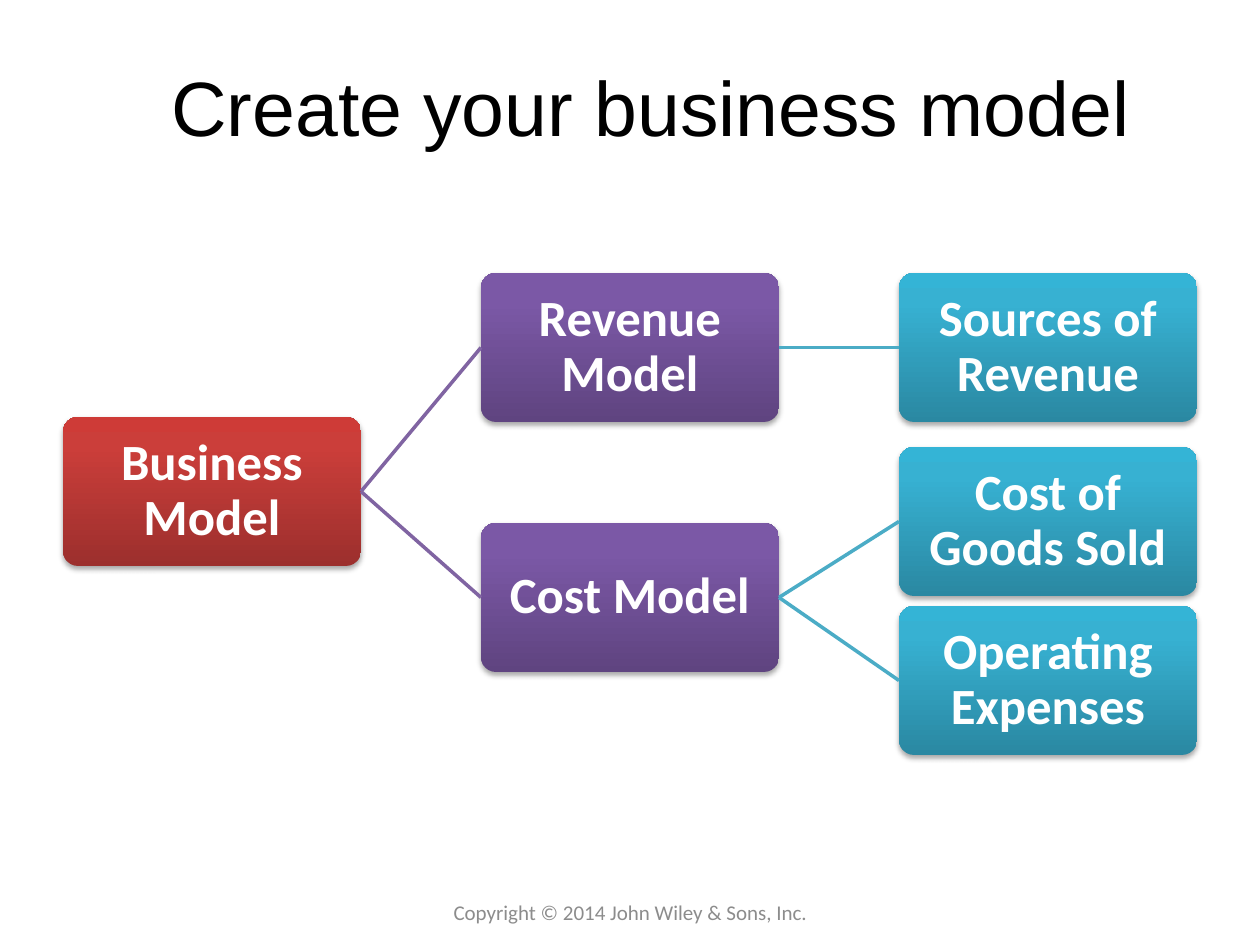
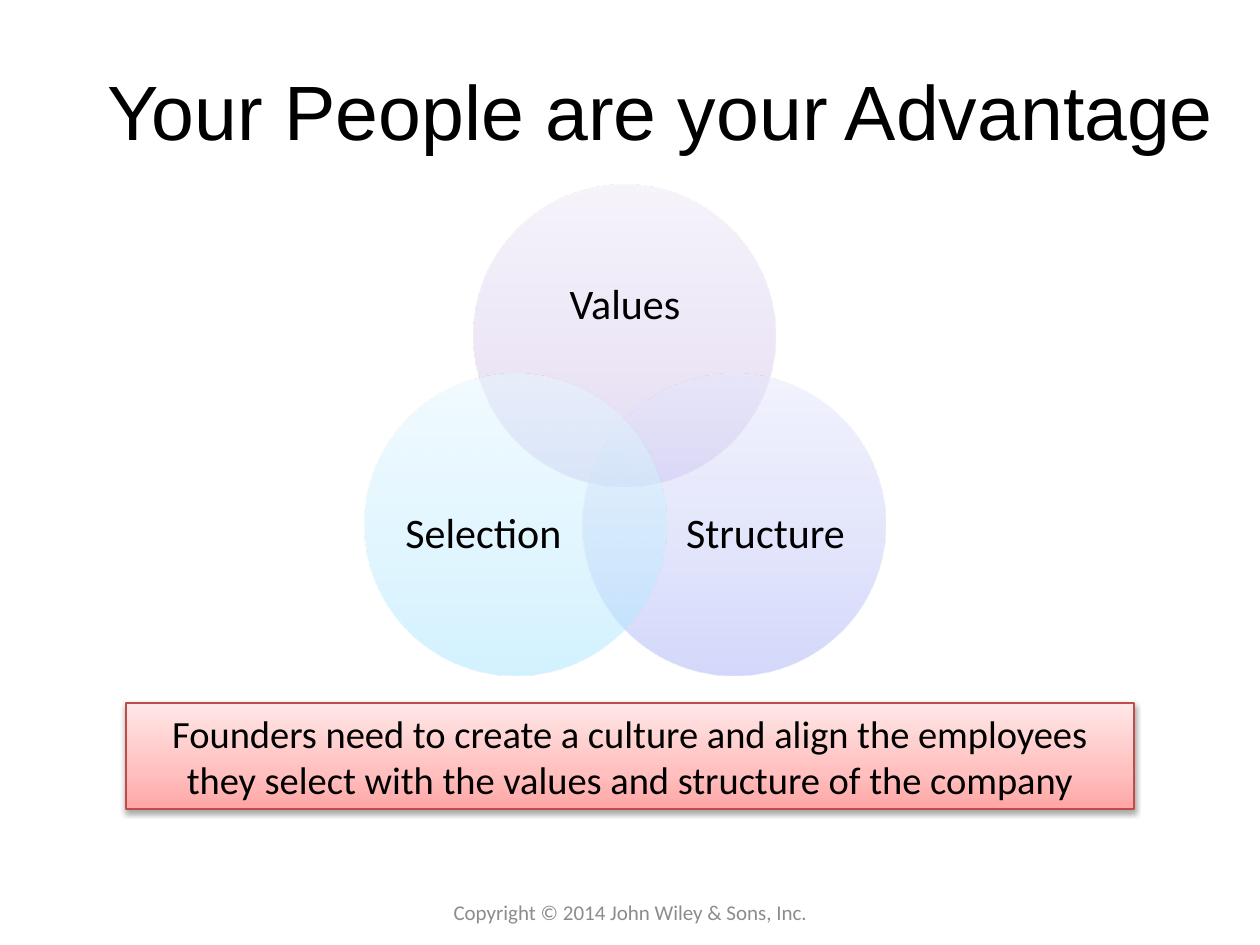
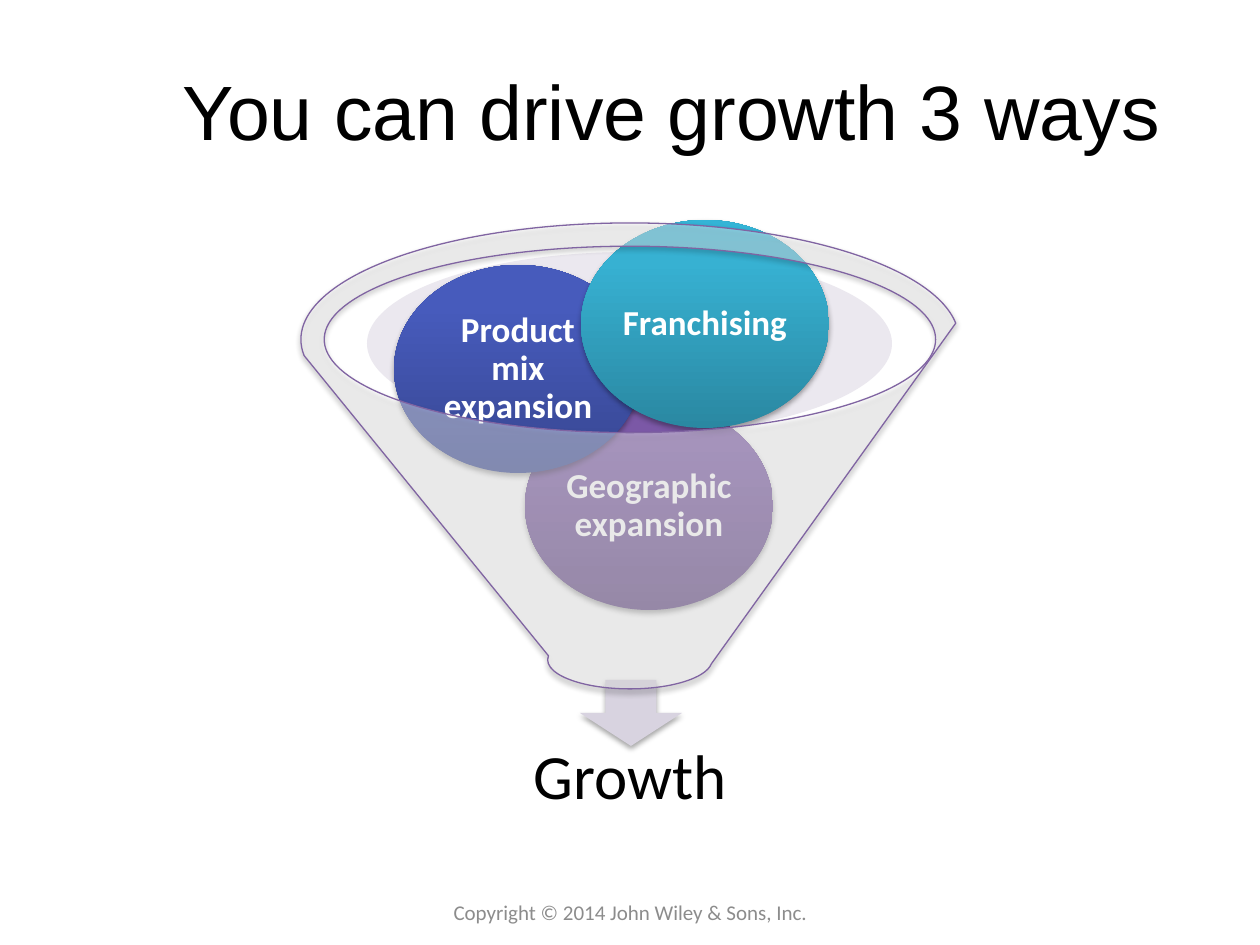
import math

import pptx
import pptx.dml.color
import pptx.enum.shapes
import pptx.enum.text
import pptx.oxml
import pptx.oxml.ns
import pptx.util
from lxml import etree

SHAPE = pptx.enum.shapes.MSO_SHAPE
MIDDLE = pptx.enum.text.MSO_ANCHOR.MIDDLE
CENTER = pptx.enum.text.PP_ALIGN.CENTER
EMU_PER_PX = 914400 / 126

COLORS = {
    "black": "000000", "white": "FFFFFF", "footer": "8C8C8C",
    "purple line": "8064A2", "teal line": "4BACC6", "red line": "BF4C48",
    "mouth": "CDC6D7", "arrow": "D8D3E0",
}
# Stops run from the bottom of a shape to its top.
STRONG_STOPS, PALE_STOPS = (0, 80, 100), (0, 35, 100)
GRADIENTS = {
    "red": (STRONG_STOPS, ("9C2F2D", "CB3E3A", "CE3B37")),
    "purple": (STRONG_STOPS, ("5F4480", "7B58A6", "7C57A8")),
    "teal": (STRONG_STOPS, ("2A88A2", "37B1D2", "34B4D6")),
    "blue": (STRONG_STOPS, ("374691", "475BBC", "455ABF")),
    "pale purple": (PALE_STOPS, ("C9B5E8", "D8CBEE", "F0EAF9")),
    "pale blue": (PALE_STOPS, ("A9B2F8", "C3C9F9", "E7E9FE")),
    "pale teal": (PALE_STOPS, ("A7E6FF", "C1EDFF", "E7F8FF")),
    "pale red": (PALE_STOPS, ("FFA6A5", "FFC0BF", "FFE7E7")),
}

FOOTER = "Copyright © 2014 John Wiley & Sons, Inc."
FOOTER_BOX = (431, 879, 399, 66)

# Slide 1: text, column, top
TREE_BOXES = [
    ("Business Model", 0, 417),
    ("Revenue Model", 1, 273),
    ("Cost Model", 1, 523),
    ("Sources of Revenue", 2, 273),
    ("Cost of Goods Sold", 2, 447),
    ("Operating Expenses", 2, 606),
]
TREE_LINKS = [(0, 1), (0, 2), (1, 3), (2, 4), (2, 5)]
TREE_FILLS = ("red", "purple", "teal")
LINK_COLORS = (None, "purple line", "teal line")
TREE_LEFT, TREE_STEP, TREE_W, TREE_H = 63, 418, 298, 149

# Slide 2: text, angle of the circle around the middle, fill, text box
VENN = [
    ("Values", -90, "pale purple", (514, 238, 222, 136)),
    ("Structure", 30, "pale blue", (675, 452, 181, 166)),
    ("Selection", 150, "pale teal", (393, 452, 181, 166)),
]
VENN_X, VENN_Y, VENN_OFFSET, VENN_D = 625, 462, 126, 302
NOTE = ("Founders need to create a culture and align the employees "
        "they select with the values and structure of the company")

# Slide 3: text, left, top, fill
BALLS = [
    ("Geographic expansion", 525, 402, "purple"),
    ("Product mix expansion", 394, 265, "blue"),
    ("Franchising", 581, 220, "teal"),
]
BALL_W, BALL_H = 248, 208


def px(n):
    return pptx.util.Emu(round(n * EMU_PER_PX))


def rgb(name):
    return pptx.dml.color.RGBColor.from_string(COLORS[name])


def set_fill(sp, name, alpha=None):
    if name in GRADIENTS:
        sp.fill.gradient()
        sp.fill.gradient_angle = 90
        stops = sp._element.spPr.find(".//" + pptx.oxml.ns.qn("a:gsLst"))
        for stop in list(stops):
            stops.remove(stop)
        for pos, color in zip(*GRADIENTS[name]):
            gs = etree.SubElement(stops, pptx.oxml.ns.qn("a:gs"), pos=str(pos * 1000))
            etree.SubElement(gs, pptx.oxml.ns.qn("a:srgbClr"), val=color)
    else:
        sp.fill.solid()
        sp.fill.fore_color.rgb = rgb(name)
    if alpha:
        for color in sp._element.spPr.iter(pptx.oxml.ns.qn("a:srgbClr")):
            etree.SubElement(color, pptx.oxml.ns.qn("a:alpha"), val=str(alpha * 1000))


def add_shadow(sp):
    effects = sp._element.spPr.find(pptx.oxml.ns.qn("a:effectLst"))
    effects.append(pptx.oxml.parse_xml(
        f'<a:outerShdw {pptx.oxml.ns.nsdecls("a")} blurRad="40000" dist="23000" '
        f'dir="5400000" rotWithShape="0"><a:srgbClr val="{COLORS["black"]}">'
        '<a:alpha val="35000"/></a:srgbClr></a:outerShdw>'))


def add_shape(slide, kind, box, fill, alpha=None, line=None, shadow=True):
    sp = slide.shapes.add_shape(kind, *map(px, box))
    set_fill(sp, fill, alpha)
    if line:
        sp.line.color.rgb = rgb(line)
        sp.line.width = pptx.util.Pt(0.75)
    else:
        sp.line.fill.background()
    sp.shadow.inherit = False
    if shadow:
        add_shadow(sp)
    return sp


def set_text(sp, text, size, color="black", font="Calibri", bold=False,
             inset=None, spacing=None):
    tf = sp.text_frame
    tf.word_wrap = True
    tf.auto_size = pptx.enum.text.MSO_AUTO_SIZE.NONE
    tf.vertical_anchor = MIDDLE
    if inset is not None:
        tf.margin_left = tf.margin_top = tf.margin_right = tf.margin_bottom = px(inset)
    p = tf.paragraphs[0]
    p.text = text
    p.alignment = CENTER
    if spacing:
        p.line_spacing = spacing
    p.font.size = pptx.util.Pt(size)
    p.font.name = font
    p.font.bold = bold
    p.font.color.rgb = rgb(color)


def add_text(slide, box, text, size, **style):
    set_text(slide.shapes.add_textbox(*map(px, box)), text, size, **style)


def add_slide(prs, title, box):
    slide = prs.slides.add_slide(prs.slide_layouts[5])
    sp = slide.shapes.title
    sp.left, sp.top, sp.width, sp.height = map(px, box)
    set_text(sp, title, 44, font="Arial")
    add_text(slide, FOOTER_BOX, FOOTER, 12, color="footer")
    return slide


def add_link(slide, start, end, color):
    """Join the right side of one box to the left side of another."""
    line = slide.shapes.add_connector(pptx.enum.shapes.MSO_CONNECTOR.STRAIGHT, 0, 0, 0, 0)
    line.begin_connect(start, 3)
    line.end_connect(end, 1)
    line.line.color.rgb = rgb(color)
    line.line.width = pptx.util.Pt(2)
    etree.SubElement(line._element.spPr, pptx.oxml.ns.qn("a:effectLst"))


def build_model(prs):
    slide = add_slide(prs, "Create your business model", (84, 32, 1134, 147))
    boxes = []
    for text, column, top in TREE_BOXES:
        box = (TREE_LEFT + column * TREE_STEP, top, TREE_W, TREE_H)
        sp = add_shape(slide, SHAPE.ROUNDED_RECTANGLE, box, TREE_FILLS[column])
        sp.adjustments[0] = 0.1
        set_text(sp, text, 29, color="white", bold=True, inset=3, spacing=0.9)
        boxes.append(sp)
    for start, end in TREE_LINKS:
        add_link(slide, boxes[start], boxes[end], LINK_COLORS[TREE_BOXES[end][1]])


def build_people(prs):
    slide = add_slide(prs, "Your People are your Advantage", (94, 42, 1134, 136))
    for text, angle, fill, text_box in VENN:
        turn = math.radians(angle)
        left = VENN_X + VENN_OFFSET * math.cos(turn) - VENN_D / 2
        top = VENN_Y + VENN_OFFSET * math.sin(turn) - VENN_D / 2
        add_shape(slide, SHAPE.OVAL, (left, top, VENN_D, VENN_D), fill,
                  alpha=50, shadow=False)
        add_text(slide, text_box, text, 24, inset=0, spacing=0.9)
    note = add_shape(slide, SHAPE.RECTANGLE, (126, 703, 1008, 106), "pale red",
                     line="red line")
    set_text(note, NOTE, 22)


def build_growth(prs):
    slide = add_slide(prs, "You can drive growth 3 ways", (84, 42, 1176, 136))
    add_shape(slide, SHAPE.OVAL, (367, 252, 525, 183), "mouth", alpha=40, shadow=False)
    add_shape(slide, SHAPE.DOWN_ARROW, (580, 680, 102, 66), "arrow")
    add_text(slide, (386, 718, 489, 122), "Growth", 36, inset=35, spacing=0.9)
    for text, left, top, fill in BALLS:
        ball = add_shape(slide, SHAPE.OVAL, (left, top, BALL_W, BALL_H), fill)
        set_text(ball, text, 20, color="white", bold=True, inset=4, spacing=0.9)
    add_shape(slide, SHAPE.FUNNEL, (301, 223, 658, 466), "white", alpha=40,
              line="purple line")


def main():
    prs = pptx.Presentation()
    prs.slide_width, prs.slide_height = px(1260), px(945)
    build_model(prs)
    build_people(prs)
    build_growth(prs)
    prs.save("out.pptx")


if __name__ == "__main__":
    main()
